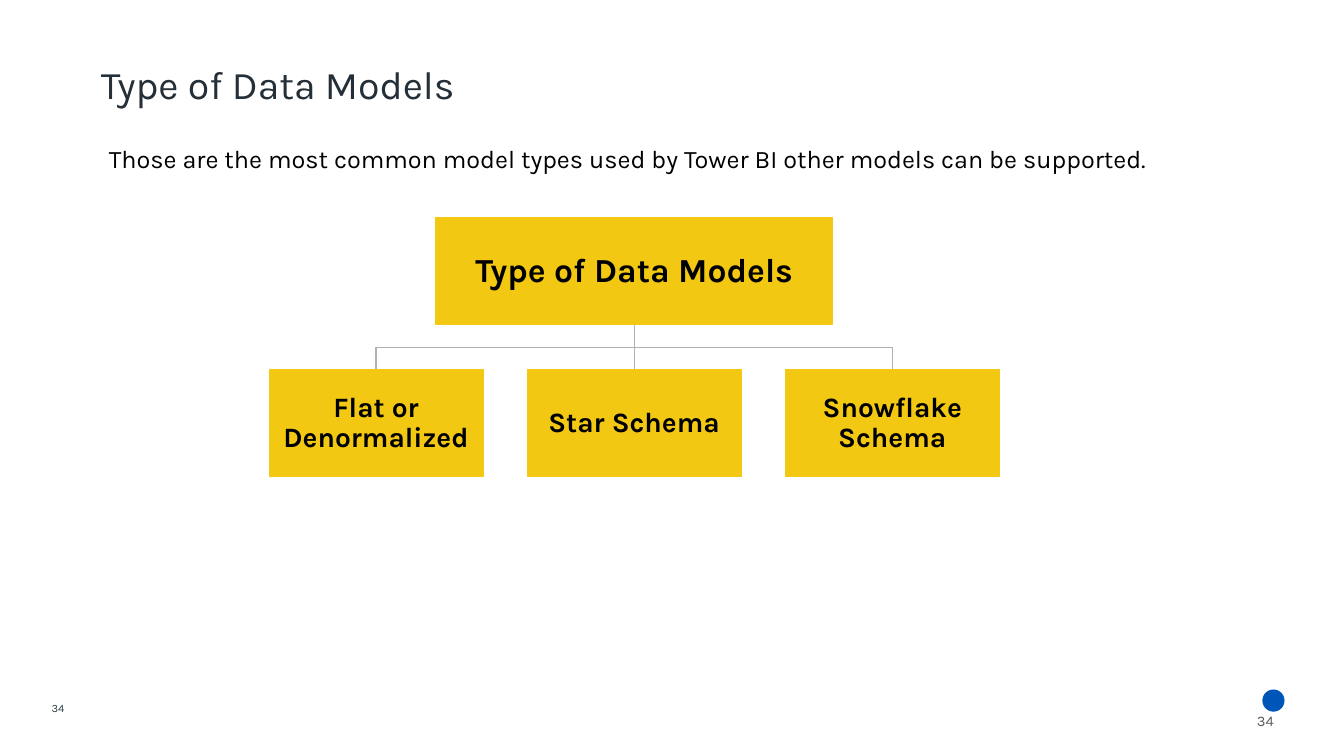
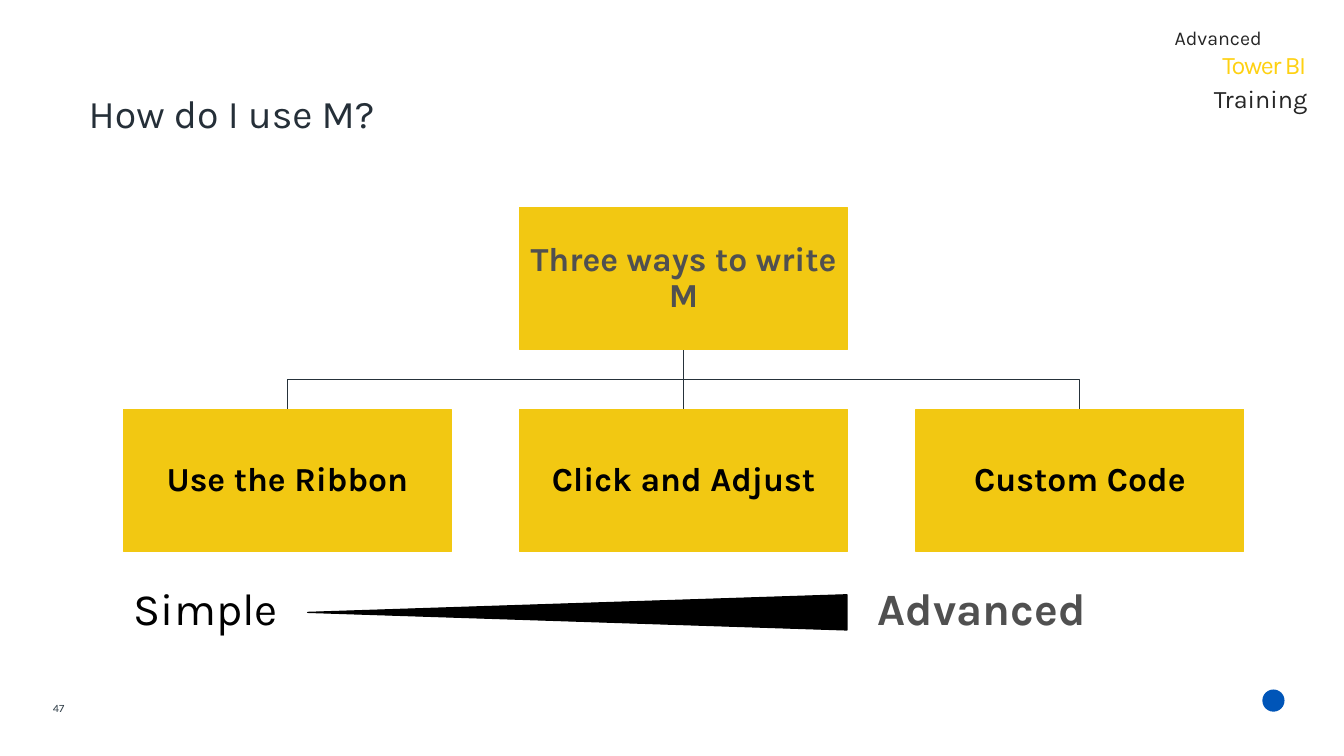
import pptx
import pptx.dml.color
import pptx.enum.shapes
import pptx.enum.text
import pptx.oxml.ns
import pptx.util
from lxml import etree

Inches, Pt = pptx.util.Inches, pptx.util.Pt
RGBColor = pptx.dml.color.RGBColor
Shape = pptx.enum.shapes.MSO_SHAPE
Align = pptx.enum.text.PP_ALIGN
Anchor = pptx.enum.text.MSO_ANCHOR

FONT = "Karla"
BLACK = RGBColor(0x00, 0x00, 0x00)
YELLOW = RGBColor(0xF2, 0xC8, 0x12)
BRIGHT_YELLOW = RGBColor(0xFE, 0xD1, 0x12)
BLUE = RGBColor(0x00, 0x55, 0xB8)
TITLE_INK = RGBColor(0x25, 0x2F, 0x38)
FOOTER_INK = RGBColor(0x30, 0x3E, 0x48)
COURSE_INK = RGBColor(0x26, 0x26, 0x26)
DARK_GREY = RGBColor(0x50, 0x50, 0x50)
NUMBER_GREY = RGBColor(0x59, 0x59, 0x59)
LIGHT_LINE = RGBColor(0xB1, 0xB1, 0xB1)
DARK_LINE = RGBColor(0x26, 0x32, 0x3A)
LINE_WIDTH = Pt(0.85)


def add_text(page, area, text, size, color, bold=False, align=Align.LEFT,
             anchor=Anchor.TOP, insets=(0, 0, 0, 0), spacing=1.0, fill=None):
    """Add a text box, or a filled rectangle with text when fill is given."""
    place = [Inches(length) for length in area]
    if fill is None:
        box = page.shapes.add_textbox(*place)
    else:
        box = page.shapes.add_shape(Shape.RECTANGLE, *place)
        box.shadow.inherit = False
        box.fill.solid()
        box.fill.fore_color.rgb = fill
        box.line.color.rgb = fill
        box.line.width = LINE_WIDTH
    frame = box.text_frame
    frame.word_wrap = True
    frame.vertical_anchor = anchor
    (frame.margin_left, frame.margin_top, frame.margin_right,
     frame.margin_bottom) = [Inches(inset) for inset in insets]
    para = frame.paragraphs[0]
    para.text = text
    para.alignment = align
    para.line_spacing = spacing
    para.font.name = FONT
    para.font.size = Pt(size)
    para.font.bold = bold
    para.font.color.rgb = color
    return para


def add_branch(page, x1, y1, x2, y2, color):
    """Join parent to child: straight down, or with a bend at half height."""
    left, top, right, bottom = [Inches(length) for length in (x1, y1, x2, y2)]
    if left == right:
        branch = page.shapes.add_connector(
            pptx.enum.shapes.MSO_CONNECTOR.STRAIGHT, left, top, right, bottom)
        etree.SubElement(branch._element.spPr, pptx.oxml.ns.qn("a:effectLst"))
    else:
        bend = (top + bottom) // 2
        outline = page.shapes.build_freeform(left, top)
        outline.add_line_segments(
            [(left, bend), (right, bend), (right, bottom)], close=False)
        branch = outline.convert_to_shape()
        branch.fill.background()
        branch.shadow.inherit = False
    branch.line.color.rgb = color
    branch.line.width = LINE_WIDTH


deck = pptx.Presentation()
deck.slide_width, deck.slide_height = Inches(13.33), Inches(7.5)

# Tree sizes: centre, root top, root width, child width, pitch, height, gap
slides = [
    dict(number="34", title="Type of Data Models", title_at=(1, 0.67),
         root="Type of Data Models", root_color=BLACK,
         children=["Flat or Denormalized", "Star Schema", "Snowflake Schema"],
         child_size=20, line_color=LIGHT_LINE,
         tree=(6.29, 2.16, 3.93, 2.12, 2.56, 1.06, 0.45)),
    dict(number="47", title="How do I use M?", title_at=(0.88, 0.96),
         root="Three ways to write M", root_color=DARK_GREY,
         children=["Use the Ribbon", "Click and Adjust", "Custom Code"],
         child_size=24, line_color=DARK_LINE,
         tree=(6.78, 2.06, 3.25, 3.25, 3.93, 1.41, 0.59)),
]

pages = []
for content in slides:
    page = deck.slides.add_slide(deck.slide_layouts[6])
    pages.append(page)

    add_text(page, (0.03, 6.91, 0.61, 0.24), content["number"], 8, FOOTER_INK,
             align=Align.RIGHT, insets=(0.1, 0.05, 0, 0.05))
    mark = page.shapes.add_shape(Shape.OVAL, Inches(12.52), Inches(6.84),
                                 Inches(0.22), Inches(0.22))
    mark.shadow.inherit = False
    mark.fill.solid()
    mark.fill.fore_color.rgb = BLUE
    mark.line.fill.background()
    add_text(page, (*content["title_at"], 8.3, 0.45), content["title"], 28,
             TITLE_INK, spacing=0.85)

    center, top, root_width, child_width, pitch, height, gap = content["tree"]
    root_bottom = top + height
    child_top = root_bottom + gap
    nodes = [(content["root"], center, top, root_width, 24, content["root_color"])]
    for column, label in enumerate(content["children"], start=-1):
        middle = center + column * pitch
        add_branch(page, center, root_bottom, middle, child_top,
                   content["line_color"])
        nodes.append((label, middle, child_top, child_width,
                      content["child_size"], BLACK))
    for label, middle, node_top, width, size, color in nodes:
        add_text(page, (middle - width / 2, node_top, width, height), label,
                 size, color, bold=True, align=Align.CENTER,
                 anchor=Anchor.MIDDLE, insets=[0.02] * 4, spacing=0.9,
                 fill=YELLOW)

models_page, ways_page = pages

add_text(models_page, (0.88, 1.32, 12.18, 0.6),
         "Those are the most common model types used by Tower BI "
         "other models can be supported.",
         18, BLACK, insets=(0.2, 0.16, 0.2, 0.16), spacing=0.9)
add_text(models_page, (12.28, 6.95, 0.54, 0.4), "34", 10.5, NUMBER_GREY,
         align=Align.CENTER, anchor=Anchor.MIDDLE, insets=(0.1, 0.05, 0.1, 0.05))

add_text(ways_page, (11.65, 0.14, 1.17, 0.35), "Advanced", 14, COURSE_INK,
         spacing=1.5)
product = add_text(ways_page, (11.79, 0.52, 1.5, 0.27), "Tower BI", 18,
                   BRIGHT_YELLOW, align=Align.CENTER, anchor=Anchor.MIDDLE,
                   spacing=0.9)
product.runs[0].font._element.set("spc", "-100")
add_text(ways_page, (12.04, 0.68, 1.26, 0.45), "Training", 18, COURSE_INK,
         spacing=1.5)

scale_insets = (0.1, 0.05, 0.1, 0.05)
add_text(ways_page, (1.23, 5.71, 1.74, 0.64), "Simple", 32, BLACK,
         insets=scale_insets)
add_text(ways_page, (8.23, 5.71, 2.64, 0.64), "Advanced", 32, DARK_GREY,
         bold=True, align=Align.RIGHT, insets=scale_insets)
wedge = ways_page.shapes.add_shape(Shape.ISOSCELES_TRIANGLE, Inches(5.55),
                                   Inches(3.4), Inches(0.35), Inches(5.35))
wedge.rotation = 270
wedge.shadow.inherit = False
wedge.fill.solid()
wedge.fill.fore_color.rgb = BLACK
wedge.line.color.rgb = BLACK
wedge.line.width = LINE_WIDTH

deck.save("out.pptx")
